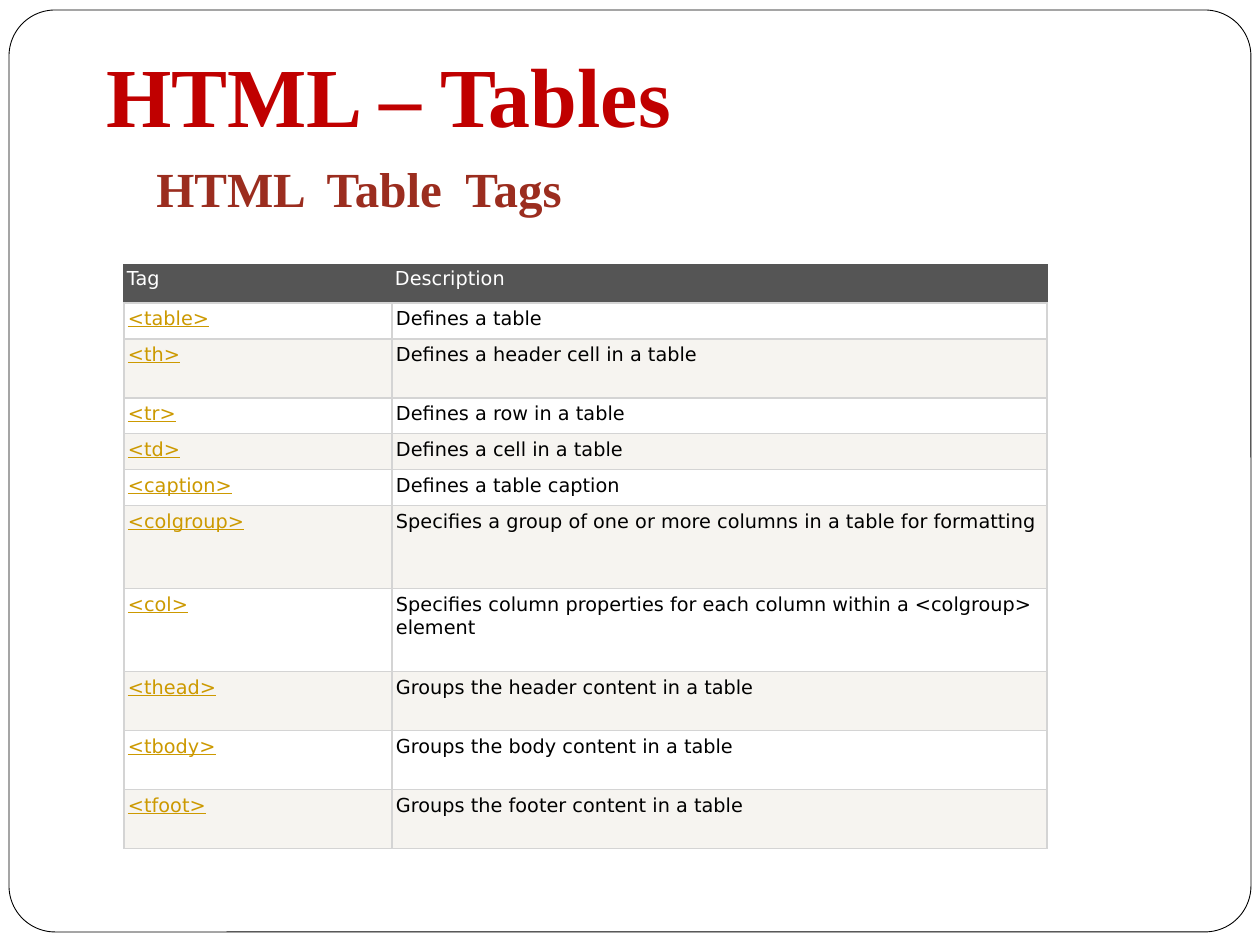
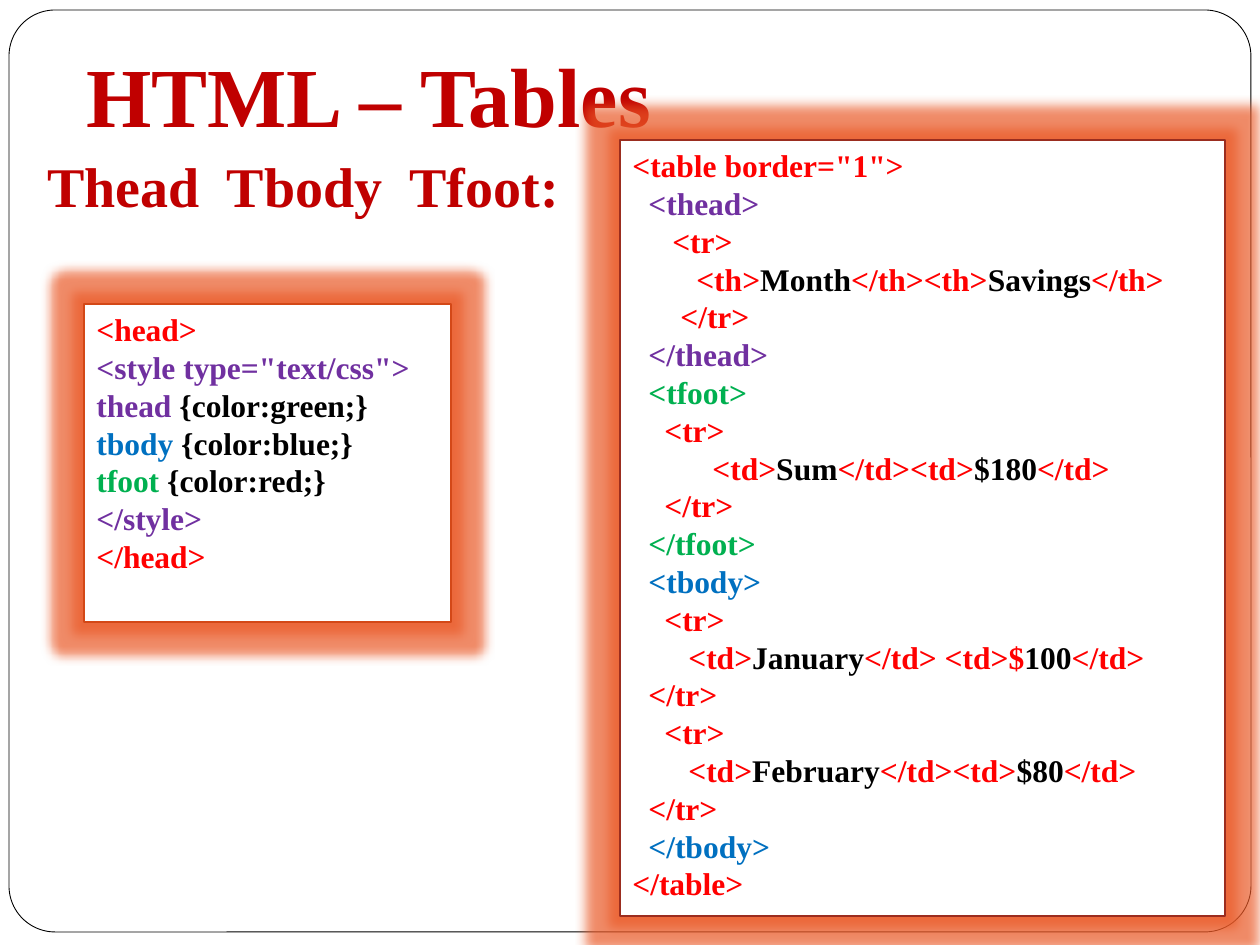
from typing import NamedTuple

from lxml.etree import SubElement
from pptx import Presentation
from pptx.dml.color import RGBColor
from pptx.enum.shapes import MSO_SHAPE
from pptx.enum.text import MSO_ANCHOR, PP_ALIGN
from pptx.oxml.ns import qn
from pptx.shapes.autoshape import Shape
from pptx.slide import Slide
from pptx.table import _Cell as Cell
from pptx.text.text import TextFrame
from pptx.util import Emu, Pt

PX_PER_INCH = 126
SPACE_WIDTH = 8
LINE_HEIGHT = 1.2
GLOW_RADIUS = 22

SERIF = "Times New Roman"
SANS = "DejaVu Sans"

WHITE = RGBColor(0xFF, 0xFF, 0xFF)
BLACK = RGBColor(0x00, 0x00, 0x00)
TITLE_RED = RGBColor(0xC0, 0x00, 0x00)
BROWN = RGBColor(0x9B, 0x2D, 0x1F)
ORANGE = RGBColor(0xD3, 0x48, 0x17)
GLOW = RGBColor(0xEA, 0x5A, 0x28)
RED = RGBColor(0xFF, 0x00, 0x00)
PURPLE = RGBColor(0x70, 0x30, 0xA0)
GREEN = RGBColor(0x00, 0xB0, 0x50)
BLUE = RGBColor(0x00, 0x70, 0xC0)
GOLD = RGBColor(0xCC, 0x99, 0x00)
HEADER_GRAY = RGBColor(0x55, 0x55, 0x55)
BAND = RGBColor(0xF6, 0xF4, 0xF0)
GRID_GRAY = RGBColor(0xD4, 0xD4, 0xD4)


class Box(NamedTuple):
    left: int
    top: int
    width: int
    height: int


class Heading(NamedTuple):
    text: str
    box: Box
    size: int
    color: RGBColor


class CodeRun(NamedTuple):
    text: str
    color: RGBColor


class CodeLine(NamedTuple):
    indent: int
    runs: list[CodeRun]


class TagRow(NamedTuple):
    tag: str
    description: str
    height: int


SHORT, MEDIUM, TALL = 36, 59, 83
HEADER_HEIGHT = 38
COLUMN_WIDTHS = (268, 655)
TAG_ROWS = [
    TagRow("<table>", "Defines a table", SHORT),
    TagRow("<th>", "Defines a header cell in a table", MEDIUM),
    TagRow("<tr>", "Defines a row in a table", SHORT),
    TagRow("<td>", "Defines a cell in a table", SHORT),
    TagRow("<caption>", "Defines a table caption", SHORT),
    TagRow("<colgroup>", "Specifies a group of one or more columns in a table for formatting", TALL),
    TagRow("<col>", "Specifies column properties for each column within a <colgroup> element", TALL),
    TagRow("<thead>", "Groups the header content in a table", MEDIUM),
    TagRow("<tbody>", "Groups the body content in a table", MEDIUM),
    TagRow("<tfoot>", "Groups the footer content in a table", MEDIUM),
]


def line(indent: int, text: str, color: RGBColor = RED) -> CodeLine:
    return CodeLine(indent, [CodeRun(text, color)])


def mixed(indent: int, *texts: str) -> CodeLine:
    """A line that alternates red markup with black content."""
    return CodeLine(indent, [CodeRun(text, BLACK if position % 2 else RED)
                             for position, text in enumerate(texts)])


def css_rule(selector: str, color: RGBColor, body: str) -> CodeLine:
    return CodeLine(0, [CodeRun(selector, color), CodeRun(f" {body}", BLACK)])


TABLE_CODE = [
    line(0, '<table border="1">'),
    line(2, "<thead>", PURPLE),
    line(5, "<tr>"),
    mixed(8, "<th>", "Month", "</th><th>", "Savings", "</th>"),
    line(6, "</tr>"),
    line(2, "</thead>", PURPLE),
    line(2, "<tfoot>", GREEN),
    line(4, "<tr>"),
    mixed(10, "<td>", "Sum", "</td><td>", "$180", "</td>"),
    line(4, "</tr>"),
    line(2, "</tfoot>", GREEN),
    line(2, "<tbody>", BLUE),
    line(4, "<tr>"),
    mixed(7, "<td>", "January", "</td> <td>$", "100", "</td>"),
    line(2, "</tr>"),
    line(4, "<tr>"),
    mixed(7, "<td>", "February", "</td><td>", "$80", "</td>"),
    line(2, "</tr>"),
    line(2, "</tbody>", BLUE),
    line(0, "</table>"),
]
STYLE_CODE = [
    line(0, "<head>"),
    line(0, '<style type="text/css">', PURPLE),
    css_rule("thead", PURPLE, "{color:green;}"),
    css_rule("tbody", BLUE, "{color:blue;}"),
    css_rule("tfoot", GREEN, "{color:red;}"),
    line(0, "</style>", PURPLE),
    line(0, "</head>"),
]


def px(length: int) -> Emu:
    return Emu(round(length * 914400 / PX_PER_INCH))


def place(box: Box) -> list[Emu]:
    return [px(length) for length in box]


def add_panel(slide: Slide, kind: MSO_SHAPE, box: Box, color: RGBColor, weight: float) -> Shape:
    """Add a white preset shape with a coloured outline."""
    shape = slide.shapes.add_shape(kind, *place(box))
    shape.shadow.inherit = False
    shape.fill.solid()
    shape.fill.fore_color.rgb = WHITE
    shape.line.color.rgb = color
    shape.line.width = Pt(weight)
    return shape


def add_heading(slide: Slide, heading: Heading) -> None:
    frame = slide.shapes.add_textbox(*place(heading.box)).text_frame
    frame.word_wrap = True
    paragraph = frame.paragraphs[0]
    paragraph.text = heading.text
    paragraph.line_spacing = Pt(heading.size * LINE_HEIGHT)
    paragraph.font.name = SERIF
    paragraph.font.size = Pt(heading.size)
    paragraph.font.bold = True
    paragraph.font.color.rgb = heading.color


def add_framed_slide(presentation: Presentation, title_left: int, subtitle: Heading) -> Slide:
    slide = presentation.slides.add_slide(presentation.slide_layouts[6])
    frame = add_panel(slide, MSO_SHAPE.ROUNDED_RECTANGLE, Box(9, 10, 1242, 922), BLACK, 0.5)
    frame.adjustments[0] = 0.05
    add_heading(slide, Heading("HTML – Tables", Box(title_left, 37, 1091, 114), 48, TITLE_RED))
    add_heading(slide, subtitle)
    return slide


def add_glow(shape: Shape) -> None:
    effects = shape.element.spPr.find(qn("a:effectLst"))
    glow = SubElement(effects, qn("a:glow"), rad=str(px(GLOW_RADIUS)))
    color = SubElement(glow, qn("a:srgbClr"), val=str(GLOW))
    SubElement(color, qn("a:alpha"), val="70000")


def write_code(frame: TextFrame, lines: list[CodeLine]) -> None:
    for position, code_line in enumerate(lines):
        paragraph = frame.add_paragraph() if position else frame.paragraphs[0]
        paragraph.alignment = PP_ALIGN.LEFT
        paragraph.line_spacing = Pt(18 * LINE_HEIGHT)
        paragraph.font.name = SERIF
        paragraph.font.size = Pt(18)
        paragraph.font.bold = True
        properties = paragraph._p.get_or_add_pPr()
        properties.set("marL", str(px(code_line.indent * SPACE_WIDTH)))
        properties.set("indent", "0")
        for code_run in code_line.runs:
            run = paragraph.add_run()
            run.text = code_run.text
            run.font.color.rgb = code_run.color


def add_code_box(slide: Slide, box: Box, outline: RGBColor, lines: list[CodeLine]) -> None:
    shape = add_panel(slide, MSO_SHAPE.RECTANGLE, box, outline, 1)
    add_glow(shape)
    shape.text_frame.word_wrap = True
    shape.text_frame.vertical_anchor = MSO_ANCHOR.TOP
    write_code(shape.text_frame, lines)


def set_borders(cell: Cell, side_color: RGBColor) -> None:
    """Draw all four borders; the bottom one is always grid gray."""
    properties = cell._tc.get_or_add_tcPr()
    for side in "LRTB":
        border = SubElement(properties, qn(f"a:ln{side}"), w=str(Pt(0.75)))
        fill = SubElement(border, qn("a:solidFill"))
        color = GRID_GRAY if side == "B" else side_color
        SubElement(fill, qn("a:srgbClr"), val=str(color))


def fill_cell(cell: Cell, text: str, color: RGBColor, fill: RGBColor,
              border: RGBColor, margins: tuple[int, int], underline: bool = False) -> None:
    set_borders(cell, border)
    cell.fill.solid()
    cell.fill.fore_color.rgb = fill
    horizontal, vertical = map(px, margins)
    cell.margin_left = cell.margin_right = horizontal
    cell.margin_top = cell.margin_bottom = vertical
    paragraph = cell.text_frame.paragraphs[0]
    paragraph.text = text
    paragraph.font.name = SANS
    paragraph.font.size = Pt(11)
    paragraph.font.bold = False
    paragraph.font.underline = underline
    paragraph.font.color.rgb = color


def add_tag_table(slide: Slide) -> None:
    heights = [HEADER_HEIGHT, *(row.height for row in TAG_ROWS)]
    box = Box(124, 265, sum(COLUMN_WIDTHS), sum(heights))
    table = slide.shapes.add_table(len(heights), len(COLUMN_WIDTHS), *place(box)).table
    table.first_row = table.horz_banding = False
    for column, width in zip(table.columns, COLUMN_WIDTHS):
        column.width = px(width)
    for table_row, height in zip(table.rows, heights):
        table_row.height = px(height)
    for column, text in enumerate(("Tag", "Description")):
        fill_cell(table.cell(0, column), text, WHITE, HEADER_GRAY, HEADER_GRAY, (3, 3))
    for number, row in enumerate(TAG_ROWS, start=1):
        fill = WHITE if number % 2 else BAND
        fill_cell(table.cell(number, 0), row.tag, GOLD, fill, GRID_GRAY, (4, 5), underline=True)
        fill_cell(table.cell(number, 1), row.description, BLACK, fill, GRID_GRAY, (4, 5))


def main() -> None:
    presentation = Presentation()
    presentation.slide_width = px(1260)
    presentation.slide_height = px(945)

    tags_slide = add_framed_slide(
        presentation, 94, Heading("HTML  Table  Tags", Box(144, 152, 466, 72), 28, BROWN))
    add_tag_table(tags_slide)

    sections_slide = add_framed_slide(
        presentation, 74, Heading("Thead  Tbody  Tfoot:", Box(35, 145, 625, 81), 32, TITLE_RED))
    add_code_box(sections_slide, Box(620, 140, 605, 776), BROWN, TABLE_CODE)
    add_code_box(sections_slide, Box(84, 304, 367, 318), ORANGE, STYLE_CODE)

    presentation.save("out.pptx")


if __name__ == "__main__":
    main()
